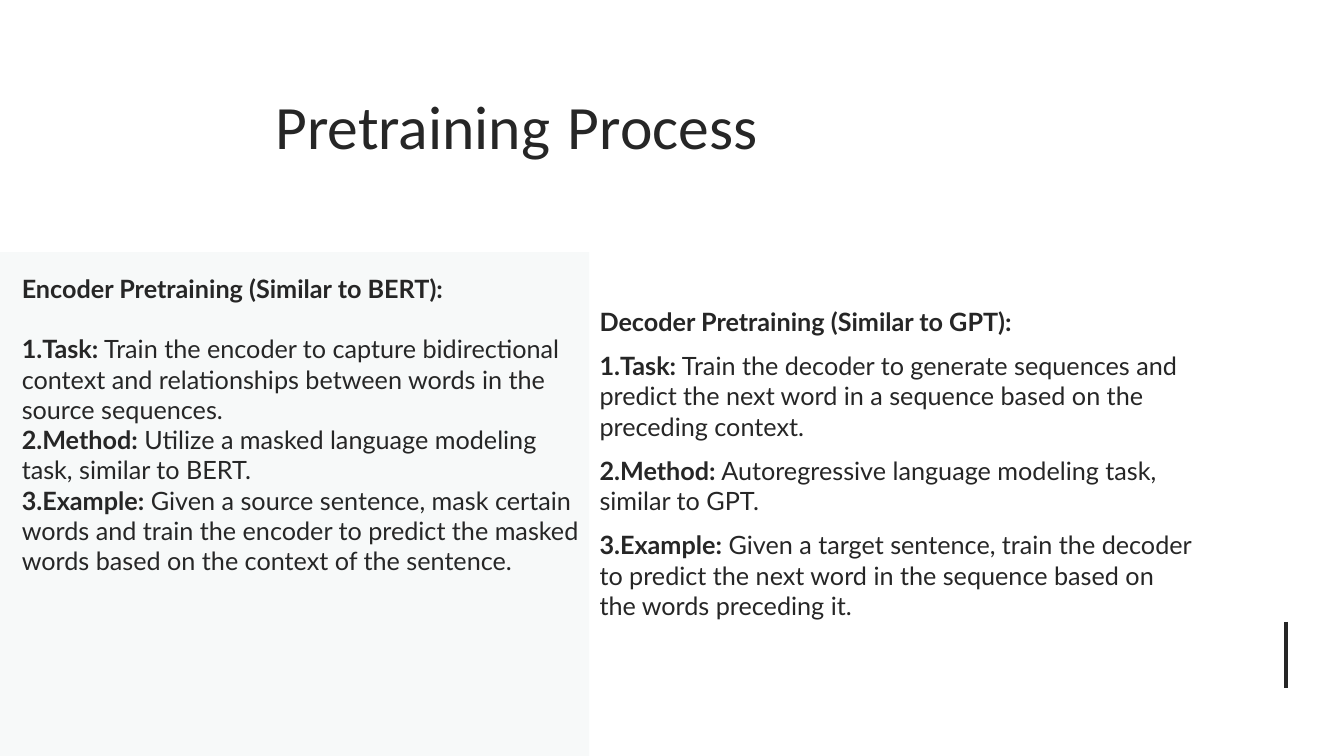
import pptx
import pptx.util
import pptx.dml.color
import pptx.enum.shapes
import pptx.enum.text
import pptx.oxml.ns
import lxml.etree

Cm = pptx.util.Cm
Pt = pptx.util.Pt
INK = pptx.dml.color.RGBColor(0x26, 0x26, 0x26)
PALE = pptx.dml.color.RGBColor(0xEC, 0xF0, 0xF0)
WHITE = pptx.dml.color.RGBColor(0xFF, 0xFF, 0xFF)
ANCHOR = pptx.enum.text.MSO_ANCHOR


def add_run(para, text, face, size, bold):
    run = para.add_run()
    run.text = text
    style = {"name": face, "size": Pt(size), "bold": bold}
    for key, value in style.items():
        setattr(run.font, key, value)
    run.font.color.rgb = INK
    return run


deck = pptx.Presentation()
deck.slide_width = Cm(33.87)
deck.slide_height = Cm(19.05)
slide = deck.slides.add_slide(deck.slide_layouts[5])
shapes = slide.shapes

# Backdrop, pale encoder panel and the header band over its top edge
panels = [
    ((0, 0, 33.87, 19.05), WHITE, 100),
    ((0, 6.32, 14.85, 12.73), PALE, 40),
    ((0, 0, 33.87, 6.35), WHITE, 100),
]
for box, color, alpha in panels:
    panel = shapes.add_shape(
        pptx.enum.shapes.MSO_SHAPE.RECTANGLE, *map(Cm, box))
    panel.shadow.inherit = False
    panel.fill.solid()
    panel.fill.fore_color.rgb = color
    panel.line.fill.background()
    if alpha < 100:
        tint = panel._element.spPr.find(".//" + pptx.oxml.ns.qn("a:srgbClr"))
        lxml.etree.SubElement(
            tint, pptx.oxml.ns.qn("a:alpha"), val=str(alpha * 1000))

# Title, brought in front of the panels
title = shapes.title
shapes._spTree.append(title._element)
place = {"left": Cm(4), "top": Cm(2.08), "width": Cm(18.03), "height": Cm(2.13)}
for key, value in place.items():
    setattr(title, key, value)
frame = title.text_frame
layout = {"word_wrap": True, "vertical_anchor": ANCHOR.TOP,
          "auto_size": pptx.enum.text.MSO_AUTO_SIZE.NONE}
for key, value in layout.items():
    setattr(frame, key, value)
head = frame.paragraphs[0]
head.alignment = pptx.enum.text.PP_ALIGN.CENTER
add_run(head, "Pretraining", "Calibri", 44, False)
gap = add_run(head, " ", "Calibri", 44, False)
gap._r.get_or_add_rPr().set("spc", "230")
add_run(head, "Process", "Calibri", 44, False)

# Two columns: a heading, then numbered points
columns = [
    {"box": (0.3, 6.76, 14.55, 8.71),
     "frame": {"vertical_anchor": ANCHOR.TOP},
     "before": 0, "after": 21.6,
     "head": "Encoder Pretraining (Similar to BERT):",
     "points": [
         ("Task:", " Train the encoder to capture bidirectional context and "
                   "relationships between words in the source sequences."),
         ("Method:", " Utilize a masked language modeling task, similar to BERT."),
         ("Example:", " Given a source sentence, mask certain words and train "
                      "the encoder to predict the masked words based on the "
                      "context of the sentence."),
     ]},
    {"box": (14.86, 6.76, 15.44, 10.57),
     "frame": {"vertical_anchor": ANCHOR.MIDDLE, "margin_bottom": Cm(0.86)},
     "before": 10, "after": 0,
     "head": "Decoder Pretraining (Similar to GPT):",
     "points": [
         ("Task:", " Train the decoder to generate sequences and predict the "
                   "next word in a sequence based on the preceding context."),
         ("Method:", " Autoregressive language modeling task, similar to GPT."),
         ("Example:", " Given a target sentence, train the decoder to predict "
                      "the next word in the sequence based on the words "
                      "preceding it."),
     ]},
]
for column in columns:
    frame = shapes.add_textbox(*map(Cm, column["box"])).text_frame
    frame.word_wrap = True
    for key, value in column["frame"].items():
        setattr(frame, key, value)
    head = frame.paragraphs[0]
    head.space_before = Pt(column["before"])
    head.space_after = Pt(column["after"])
    add_run(head, column["head"], "Lato", 18, True)
    for label, text in column["points"]:
        para = frame.add_paragraph()
        para.space_before = Pt(column["before"])
        props = para._p.get_or_add_pPr()
        props.set("marL", "0")
        props.set("indent", "0")
        lxml.etree.SubElement(
            props, pptx.oxml.ns.qn("a:buAutoNum"), type="arabicPeriod")
        add_run(para, label, "Lato", 18, True)
        add_run(para, text, "Lato", 18, False)

# Short upright rule at lower right
rule = shapes.add_connector(
    pptx.enum.shapes.MSO_CONNECTOR.STRAIGHT,
    Cm(32.41), Cm(15.67), Cm(32.41), Cm(17.33))
rule.line.color.rgb = INK
rule.line.width = Pt(3)
lxml.etree.SubElement(rule._element.spPr, pptx.oxml.ns.qn("a:effectLst"))

deck.save("out.pptx")
